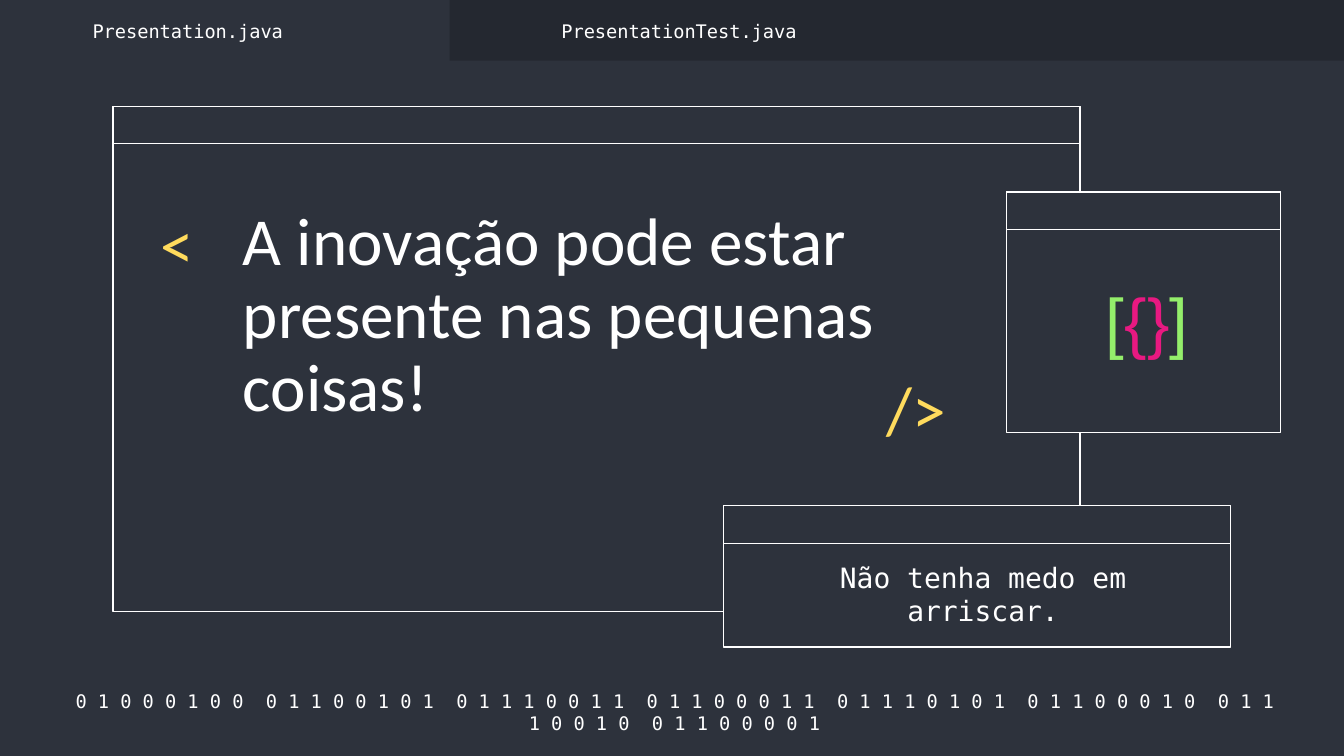
from pptx import Presentation
from pptx.dml.color import RGBColor
from pptx.enum.shapes import MSO_SHAPE
from pptx.enum.text import MSO_ANCHOR, MSO_AUTO_SIZE, PP_ALIGN
from pptx.util import Cm, Pt

RECT = MSO_SHAPE.RECTANGLE
TOP, MIDDLE = MSO_ANCHOR.TOP, MSO_ANCHOR.MIDDLE
LEFT, CENTER = PP_ALIGN.LEFT, PP_ALIGN.CENTER
NO_FIT = MSO_AUTO_SIZE.NONE

NIGHT = RGBColor(0x2D, 0x32, 0x3C)
TAB_BAR = RGBColor(0x24, 0x28, 0x30)
WHITE = RGBColor(0xFF, 0xFF, 0xFF)
YELLOW = RGBColor(0xFF, 0xDB, 0x5D)
GREEN = RGBColor(0x94, 0xEE, 0x6B)
PINK = RGBColor(0xE8, 0x19, 0x81)

MONO = "DejaVu Sans Mono"
SANS = "Calibri"
BRACKET = "Arial"
INSET = Cm(0.25)
BAR_HEIGHT = 0.71
BYTES = ("01000100", "01100101", "01110011", "01100011",
         "01110101", "01100010", "01110010", "01100001")


class CodeSlide:
    def __init__(self, prs):
        self.slide = prs.slides.add_slide(prs.slide_layouts[5])
        self.shapes = self.slide.shapes
        fill = self.slide.background.fill
        fill.solid()
        fill.fore_color.rgb = NIGHT

    def rect(self, x, y, w, h, color, line=None):
        sp = self.shapes.add_shape(RECT, Cm(x), Cm(y), Cm(w), Cm(h))
        sp.shadow.inherit = False
        sp.fill.solid()
        sp.fill.fore_color.rgb = color
        if line is None:
            sp.line.fill.background()
        else:
            sp.line.color.rgb = line
            sp.line.width = Pt(0.75)

    def window(self, x, y, w, h):
        for height in (h, BAR_HEIGHT):
            self.rect(x, y, w, height, NIGHT, WHITE)

    def fill_text(self, sp, runs, size, font, align, anchor, spacing):
        tf = sp.text_frame
        tf.word_wrap = True
        tf.auto_size = NO_FIT
        tf.vertical_anchor = anchor
        tf.margin_left = tf.margin_right = INSET
        tf.margin_top = tf.margin_bottom = INSET
        p = tf.paragraphs[0]
        p.alignment = align
        p.line_spacing = spacing
        p.space_before = Pt(0)
        for text, color in runs:
            r = p.add_run()
            r.text = text
            r.font.size = Pt(size)
            r.font.name = font
            r.font.color.rgb = color

    def text(self, x, y, w, h, runs, size=10, font=MONO,
             align=LEFT, anchor=MIDDLE, spacing=1.0):
        sp = self.shapes.add_textbox(Cm(x), Cm(y), Cm(w), Cm(h))
        self.fill_text(sp, runs, size, font, align, anchor, spacing)

    def title(self, x, y, w, h, text):
        sp = self.shapes.title
        sp.left, sp.top, sp.width, sp.height = Cm(x), Cm(y), Cm(w), Cm(h)
        self.fill_text(sp, [(text, WHITE)], 36, SANS, LEFT, TOP, 0.9)
        tree = sp.element.getparent()
        tree.append(sp.element)


def main():
    prs = Presentation()
    prs.slide_width, prs.slide_height = Cm(25.4), Cm(14.29)
    s = CodeSlide(prs)

    binary = "  ".join(" ".join(byte) for byte in BYTES)
    s.text(0.97, 13.21, 23.55, 0.51, [(binary, WHITE)], align=CENTER)
    s.rect(8.5, 0, 16.9, 1.15, TAB_BAR)

    s.window(2.14, 2.01, 18.27, 9.55)
    s.window(13.68, 9.56, 9.58, 2.67)
    s.window(19.02, 3.63, 5.18, 4.55)

    for x, y, tag in ((2.79, 3.84, "<"), (16.51, 6.96, "/>")):
        s.text(x, y, 1.96, 1.68, [(tag, YELLOW)], 36, SANS, spacing=0.9)
    s.text(19.99, 5.21, 3.38, 2.08,
           [("[", GREEN), ("{}", PINK), ("]", GREEN)],
           36, BRACKET, CENTER, TOP, 0.9)

    s.title(4.34, 3.68, 12.7, 3.1,
            "A inovação pode estar presente nas pequenas coisas!")
    s.text(14.35, 10.49, 8.46, 1.47,
           [("Não tenha medo em arriscar.", WHITE)], 15, align=CENTER)

    for x, name in ((1.5, "Presentation.java"),
                    (10.36, "PresentationTest.java")):
        s.text(x, 0.33, 5.56, 0.51, [(name, WHITE)])

    prs.save("out.pptx")


if __name__ == "__main__":
    main()
